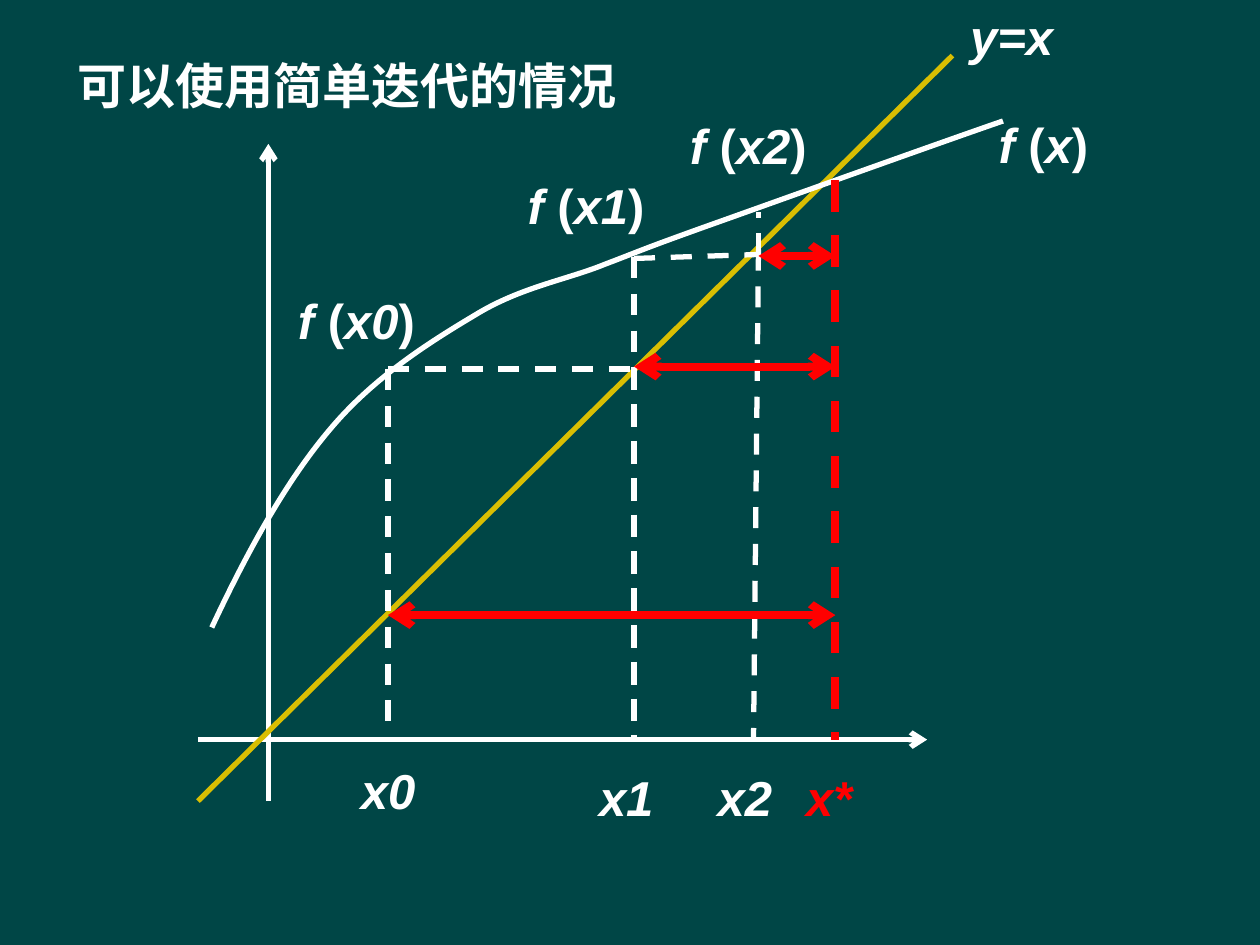
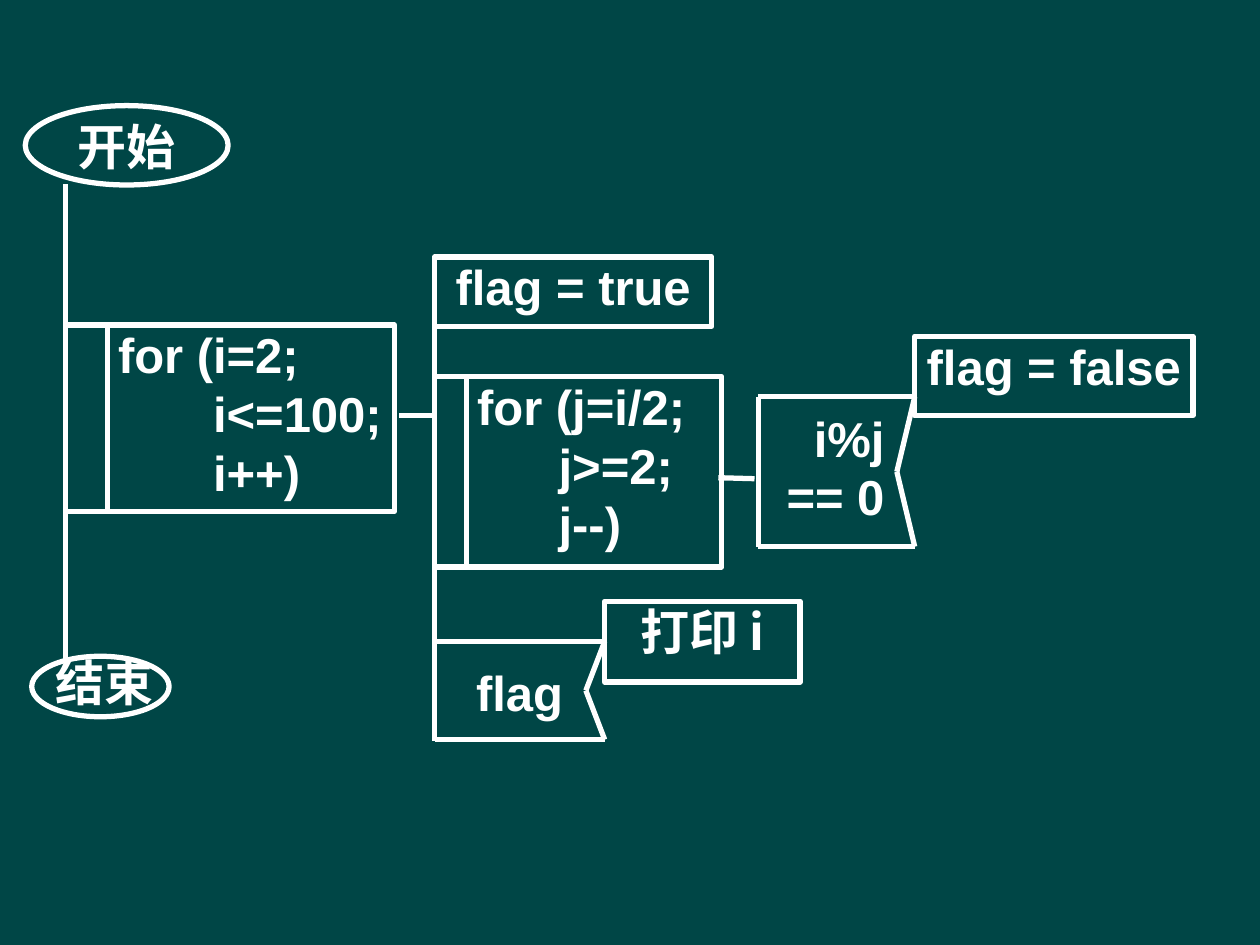
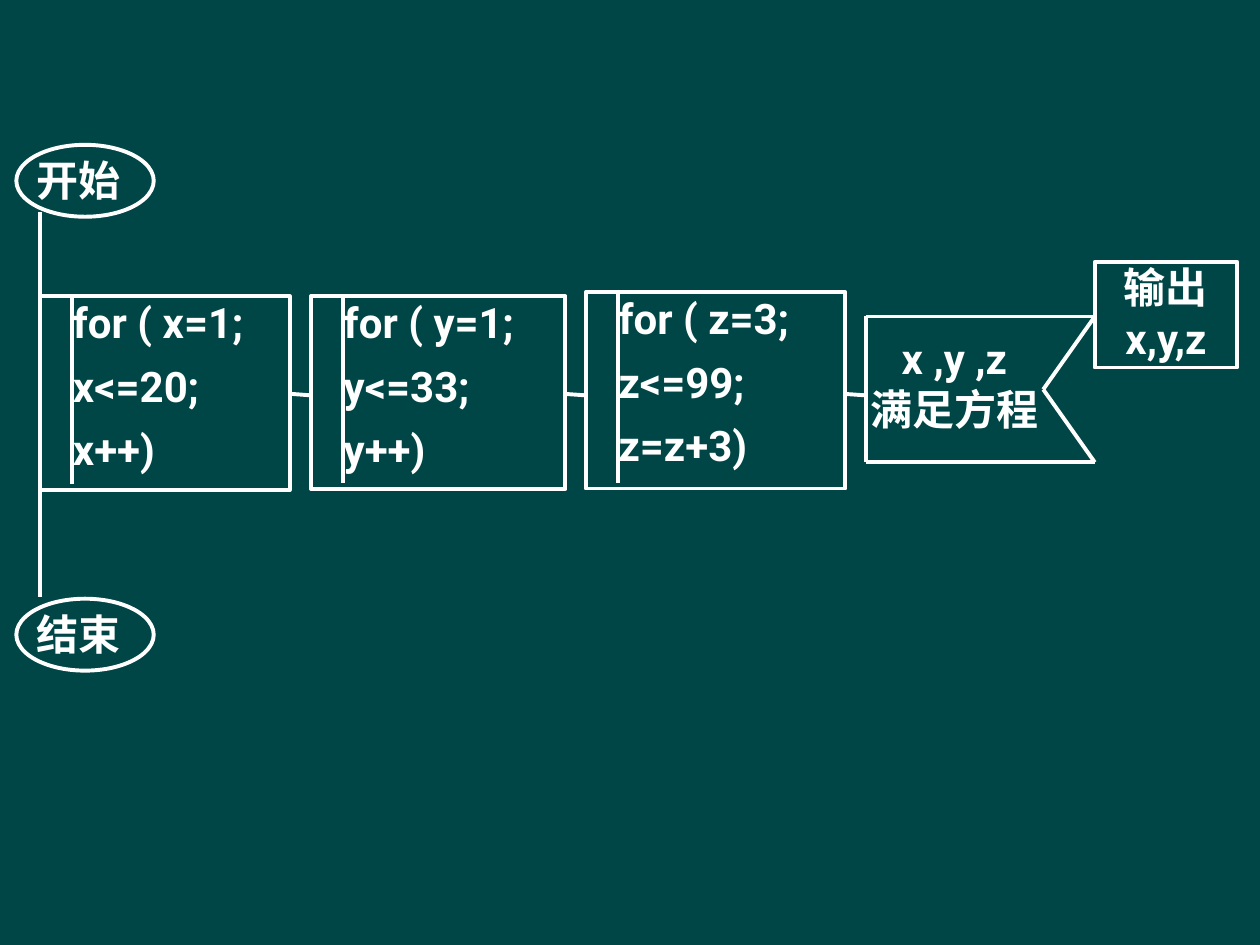
from itertools import pairwise

from pptx import Presentation
from pptx.dml.color import RGBColor
from pptx.enum.dml import MSO_LINE
from pptx.enum.shapes import MSO_CONNECTOR, MSO_SHAPE
from pptx.enum.text import MSO_ANCHOR, PP_ALIGN
from pptx.oxml.ns import qn
from pptx.oxml.xmlchemy import OxmlElement
from pptx.util import Cm, Pt

STRAIGHT = MSO_CONNECTOR.STRAIGHT
RECTANGLE, ELLIPSE = MSO_SHAPE.RECTANGLE, MSO_SHAPE.OVAL
LEFT, CENTER, RIGHT = PP_ALIGN.LEFT, PP_ALIGN.CENTER, PP_ALIGN.RIGHT
TOP = MSO_ANCHOR.TOP
DASH = MSO_LINE.DASH

BACKGROUND, WHITE, YELLOW, RED = "004646", "FFFFFF", "D9BE02", "FF0000"
LINE_HEIGHT = 1.2


def color(hex_text):
    return RGBColor.from_string(hex_text)


def set_values(target, values):
    for name, value in values.items():
        setattr(target, name, value)


class Deck:
    """Holds the presentation, the current slide and that slide's style."""

    def __init__(self):
        self.presentation = Presentation()
        set_values(self.presentation,
                   {"slide_width": Cm(25.4), "slide_height": Cm(19.05)})
        fill = self.presentation.slide_master.background.fill
        fill.solid()
        fill.fore_color.rgb = color(BACKGROUND)

    def start_slide(self, font, size, line_width):
        layout = self.presentation.slide_layouts[6]
        self.shapes = self.presentation.slides.add_slide(layout).shapes
        self.font, self.size, self.line_width = font, size, line_width

    def stroke(self, shape, line_color=WHITE, width=None):
        shape.line.color.rgb = color(line_color)
        shape.line.width = Pt(width or self.line_width)

    def line(self, start, end, line_color=WHITE, width=None, dashed=False, arrows=()):
        """Arrows names the arrowed ends, head before tail: headEnd, tailEnd."""
        connector = self.shapes.add_connector(
            STRAIGHT, *(Cm(value) for value in (*start, *end)))
        self.stroke(connector, line_color, width)
        if dashed:
            connector.line.dash_style = DASH
        properties = connector._element.spPr
        for end_name in arrows:
            arrow = OxmlElement(f"a:{end_name}")
            arrow.set("type", "arrow")
            properties.find(qn("a:ln")).append(arrow)
        properties.append(OxmlElement("a:effectLst"))

    def curve(self, start, control_points):
        """Draw cubic curves; every three points make one segment."""
        builder = self.shapes.build_freeform(*(Cm(value) for value in start))
        builder.add_line_segments(
            [(Cm(x), Cm(y)) for x, y in control_points], close=False)
        shape = builder.convert_to_shape()
        shape.shadow.inherit = False
        shape.fill.background()
        self.stroke(shape)
        outline = next(shape._element.iter(qn("a:path")))
        steps = outline.findall(qn("a:lnTo"))
        for first in range(0, len(steps), 3):
            segment = OxmlElement("a:cubicBezTo")
            for step in steps[first:first + 3]:
                segment.append(step[0])
                outline.remove(step)
            outline.append(segment)

    def fill_text(self, shape, paragraphs, alignment=CENTER, text_color=WHITE,
                  space_before=0, insets=(0, 0), font=None):
        """Each paragraph is a string or a list of (text, italic) runs."""
        frame = shape.text_frame
        side, top = (Cm(value) for value in insets)
        set_values(frame, {"word_wrap": True, "vertical_anchor": TOP,
                           "margin_left": side, "margin_right": side if top else 0,
                           "margin_top": top, "margin_bottom": top})
        for index, content in enumerate(paragraphs):
            paragraph = frame.add_paragraph() if index else frame.paragraphs[0]
            set_values(paragraph, {"alignment": alignment,
                                   "line_spacing": Pt(self.size * LINE_HEIGHT)})
            if index and space_before:
                paragraph.space_before = Pt(space_before)
            runs = [(content, False)] if isinstance(content, str) else content
            for text, italic in runs:
                run = paragraph.add_run()
                run.text = text
                set_values(run.font, {"name": font or self.font, "size": Pt(self.size),
                                      "bold": True, "italic": italic})
                run.font.color.rgb = color(text_color)
                east_asian = OxmlElement("a:ea")
                east_asian.set("typeface", font or self.font)
                run.font._element.append(east_asian)

    def text(self, box, paragraphs, **text_format):
        shape = self.shapes.add_textbox(*(Cm(value) for value in box))
        self.fill_text(shape, paragraphs, **text_format)

    def outline(self, kind, box, paragraphs=(), **text_format):
        shape = self.shapes.add_shape(kind, *(Cm(value) for value in box))
        shape.shadow.inherit = False
        shape.fill.background()
        self.stroke(shape)
        self.fill_text(shape, paragraphs, **text_format)

    def terminal(self, ellipse_box, text_box, caption):
        self.text(text_box, [caption])
        self.outline(ELLIPSE, ellipse_box)

    def loop(self, box, bar_offset, code, padding, bar_gap=0, space_before=0):
        """A loop box with a vertical bar near its left side."""
        left, top, _, height = box
        self.outline(RECTANGLE, box, code, alignment=LEFT, space_before=space_before,
                     insets=(bar_offset + padding, 0))
        bar = left + bar_offset
        self.line((bar, top), (bar, top + height - bar_gap))

    def decision(self, left, top, right, bottom, notch):
        """A box whose right side is bent inward to the notch."""
        corners = [(left, bottom), (left, top), (right, top),
                   (notch, (top + bottom) / 2), (right, bottom), (left, bottom)]
        for start, end in pairwise(corners):
            self.line(start, end)

    def math_label(self, left, top, width, runs, text_color=WHITE):
        self.text((left, top, width, 1.45), [runs], text_color=text_color,
                  insets=(0.25, 0.13))


def function_of(argument):
    return [("f", True), (" (", False), (argument, True), (")", False)]


def build_iteration_slide(deck):
    deck.start_slide("Arial", 28, 3)
    axis_y = 14.91
    x0, x1, x2, root = 7.82, 12.78, 15.29, 16.84
    f_x0, f_x1 = 7.44, 5.18

    deck.line((5.41, 16.15), (5.41, 2.9), arrows=["tailEnd"])
    deck.line((3.99, axis_y), (18.69, axis_y), arrows=["tailEnd"])
    deck.line((3.99, 16.15), (19.2, 1.12), YELLOW)
    deck.curve((4.27, 12.65), [
        (4.98, 11.13), (5.77, 9.7), (6.65, 8.66),
        (7.52, 7.62), (8.64, 6.91), (9.58, 6.35),
        (10.49, 5.79), (11.43, 5.64), (12.19, 5.33),
        (12.98, 5.03), (12.88, 5.05), (14.22, 4.57),
        (15.57, 4.09), (18.97, 2.87), (20.22, 2.44)])
    deck.line((root, 3.63), (root, axis_y), RED, 4.5, dashed=True)

    for start, end in [
            ((x0, f_x0), (x0, axis_y)), ((x0, f_x0), (x1, f_x0)),
            ((x1, f_x0), (x1, axis_y)), ((x1, f_x1), (x1, axis_y)),
            ((x1, 5.21), (x2, 5.13)), ((x2, 5.03), (15.19, axis_y)),
            ((x2, 5.13), (x2, 4.27))]:
        deck.line(start, end, dashed=True)
    for x, y in [(x2, 5.16), (x0, 12.4), (x1, 7.39)]:
        deck.line((x, y), (root, y), RED, 4.5, arrows=["headEnd", "tailEnd"])

    deck.text((1.32, 0.99, 11.8, 1.45), ["可以使用简单迭代的情况"],
              alignment=LEFT, insets=(0.25, 0.13))
    deck.math_label(19.2, 0, 2.39, [("y=x", True)])
    deck.math_label(19.84, 2.18, 2.39, function_of("x"))
    for argument, left, top in [("x0", 5.56, 5.72), ("x1", 10.19, 3.4),
                                ("x2", 13.46, 2.21)]:
        deck.math_label(left, top, 3.25, function_of(argument))
    for name, left, top, text_color in [
            ("x0", 7.01, 15.21, WHITE), ("x1", 11.81, 15.34, WHITE),
            ("x2", 14.2, 15.34, WHITE), ("x*", 15.9, 15.34, RED)]:
        deck.math_label(left, top, 1.63, [(name, True)], text_color)


def build_prime_slide(deck):
    deck.start_slide("Arial", 28, 3)
    spine, body = 1.32, 8.76

    deck.line((spine, 3.71), (spine, 13.34))
    deck.terminal((0.51, 2.13, 4.09, 1.6), (0.74, 2.36, 3.61, 1.09), "开始")
    deck.terminal((0.64, 13.23, 2.77, 1.22), (0.64, 13.16, 2.94, 1.19), "结束")
    deck.loop((spine, 6.55, 6.63, 3.76), 0.84,
              ["for (i=2;", "       i<=100;", "       i++)"], padding=0.22)
    deck.line((8.05, 8.38), (body, 8.38))

    deck.line((body, 5.16), (body, 14.94))
    deck.outline(RECTANGLE, (body, 5.18, 5.59, 1.4), ["flag = true"])
    deck.loop((body, 7.59, 5.79, 3.84), 0.64,
              ["for (j=i/2;", "      j>=2;", "      j--)"], padding=0.22)
    deck.line((14.48, 9.63), (15.21, 9.65))
    deck.text((15.29, 8.23, 2.54, 2.31), ["i%j", "== 0"], alignment=RIGHT)
    deck.decision(15.29, 8, 18.44, 11.02, notch=18.08)
    deck.outline(RECTANGLE, (18.44, 6.78, 5.61, 1.6), ["flag = false"])

    deck.text((body, 13.36, 3.43, 1.14), ["flag"])
    deck.decision(body, 12.93, 12.19, 14.91, notch=11.81)
    deck.outline(RECTANGLE, (12.19, 12.12, 3.94, 1.63), ["打印 i"],
                 font="Noto Sans CJK SC")


def build_equation_slide(deck):
    deck.start_slide("Roboto", 24, 2.25)
    spine = 0.81

    deck.line((spine, 4.27), (spine, 12.04))
    for caption, top in [("开始", 2.92), ("结束", 12.07)]:
        deck.terminal((0.33, top, 2.77, 1.45), (0.36, top + 0.2, 2.44, 0.99), caption)
    for box, code in [
            ((spine, 5.97, 5.03, 3.91), ["for ( x=1;", "x<=20;", "x++)"]),
            ((6.27, 5.97, 5.13, 3.89), ["for ( y=1;", "y<=33;", "y++)"]),
            ((11.81, 5.89, 5.23, 3.96), ["for ( z=3;", "z<=99;", "z=z+3)"])]:
        deck.loop(box, 0.64, code, padding=0.02, bar_gap=0.12, space_before=7.7)
    for start, end in [(5.87, 6.27), (11.38, 11.81), (17.02, 17.45)]:
        deck.line((start, 7.94), (end, 7.97))

    deck.text((17.45, 6.71, 3.58, 2.36), ["x ,y ,z", "满足方程"])
    deck.decision(17.45, 6.38, 22.07, 9.32, notch=21.03)
    deck.outline(RECTANGLE, (22.07, 5.28, 2.87, 2.13), ["输出", "x,y,z"])


def main():
    deck = Deck()
    build_iteration_slide(deck)
    build_prime_slide(deck)
    build_equation_slide(deck)
    deck.presentation.save("out.pptx")


if __name__ == "__main__":
    main()
